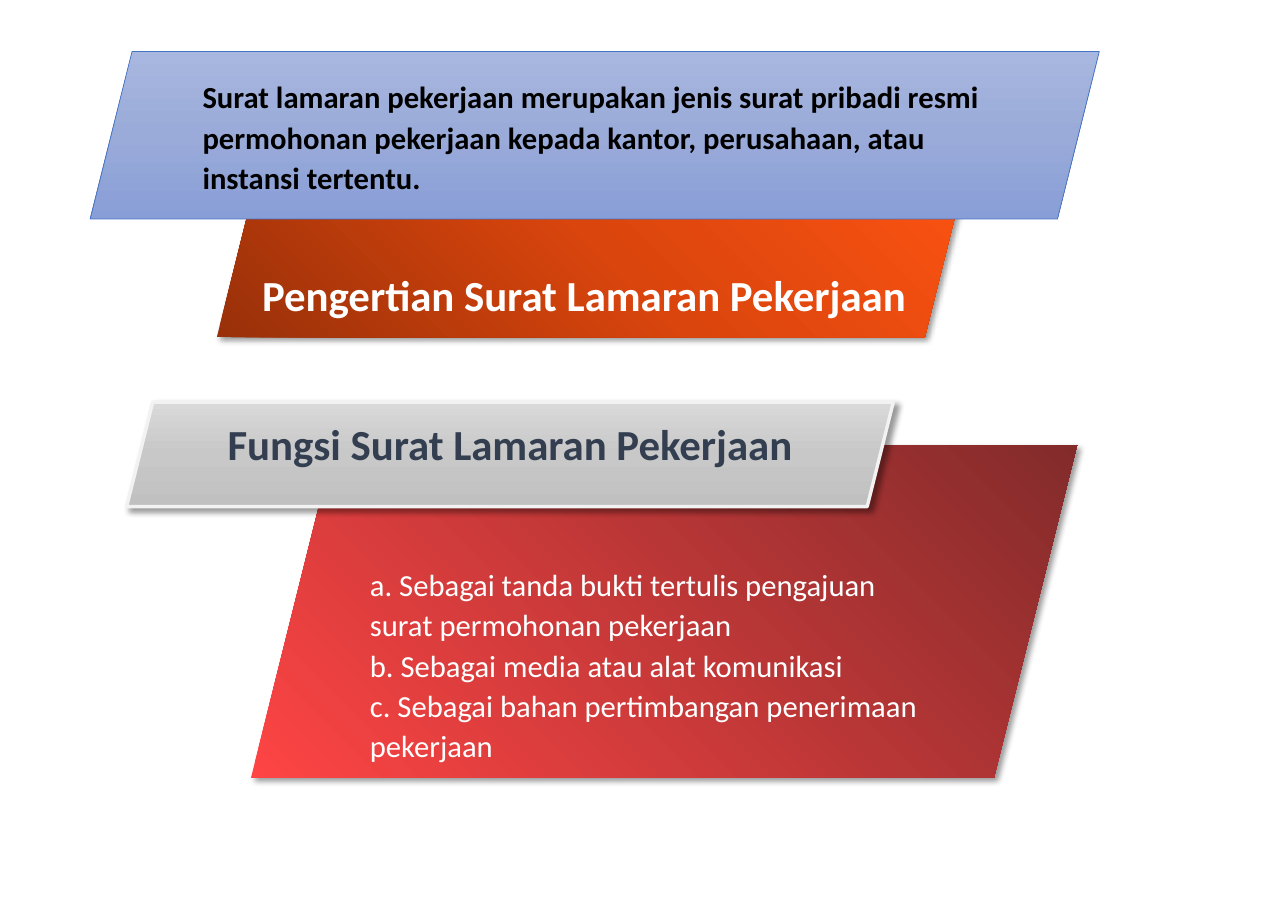
import dataclasses

import pptx
import pptx.dml.color
import pptx.enum.shapes
import pptx.enum.text
import pptx.oxml
import pptx.oxml.ns
import pptx.util

Cm = pptx.util.Cm
Pt = pptx.util.Pt
qn = pptx.oxml.ns.qn
rgb = pptx.dml.color.RGBColor.from_string
Anchor = pptx.enum.text.MSO_ANCHOR
Align = pptx.enum.text.PP_ALIGN
A_NS = pptx.oxml.ns.nsdecls("a")


@dataclasses.dataclass(frozen=True)
class Theme:
    font: str = "Calibri"
    heading_size: int = 28
    body_size: int = 20
    body_spacing: float = 1.1
    black: str = "000000"
    white: str = "FFFFFF"
    slate: str = "333F50"
    blue_line: str = "4472C4"
    pale_line: str = "F2F2F2"
    orange: tuple = ("993009", "DA450D", "FF5413")
    blue: tuple = ("A8B7DF", "9AABD9", "889ED7")
    red: tuple = ("FE4444", "832B2B")
    grey: tuple = ("D9D9D9", "C8C8C8", "C0C0C0")
    rising: int = 45
    downward: int = 270


def write_text(frame, *paragraphs, font, size, color, bold=False,
               align=Align.LEFT, anchor=Anchor.TOP, spacing=1.0):
    frame.word_wrap = True
    frame.auto_size = pptx.enum.text.MSO_AUTO_SIZE.NONE
    frame.vertical_anchor = anchor
    for index, content in enumerate(paragraphs):
        paragraph = frame.add_paragraph() if index else frame.paragraphs[0]
        paragraph.alignment = align
        paragraph.line_spacing = spacing
        run = paragraph.add_run()
        run.text = content
        run.font.name = font
        run.font.size = Pt(size)
        run.font.bold = bold
        run.font.color.rgb = rgb(color)


class SlideBuilder:
    def __init__(self, slide, theme):
        self.slide = slide
        self.theme = theme

    def banner(self, box, colors, angle, line=None, line_width=1, shadow=True):
        """Add a slanted banner with evenly spaced gradient stops."""
        banner = self.slide.shapes.add_shape(
            pptx.enum.shapes.MSO_SHAPE.PARALLELOGRAM, *map(Cm, box))
        banner.fill.gradient()
        banner.fill.gradient_angle = angle
        properties = banner._element.spPr
        stops = properties.find(qn("a:gradFill")).find(qn("a:gsLst"))
        for stop in list(stops):
            stops.remove(stop)
        for index, color in enumerate(colors):
            position = 100000 * index // (len(colors) - 1)
            stops.append(pptx.oxml.parse_xml(
                f'<a:gs {A_NS} pos="{position}"><a:srgbClr val="{color}"/></a:gs>'))
        if line:
            banner.line.color.rgb = rgb(line)
            banner.line.width = Pt(line_width)
        else:
            banner.line.fill.background()
        banner.shadow.inherit = False
        if shadow:
            properties.find(qn("a:effectLst")).append(pptx.oxml.parse_xml(
                f'<a:outerShdw {A_NS} blurRad="{Pt(4)}" dist="{Pt(3)}" dir="2700000" '
                f'algn="tl" rotWithShape="0"><a:srgbClr val="{self.theme.black}">'
                '<a:alpha val="40000"/></a:srgbClr></a:outerShdw>'))
        return banner

    def heading(self, frame, content, color, **layout):
        write_text(frame, content, font=self.theme.font, color=color,
                   size=self.theme.heading_size, bold=True, **layout)

    def body(self, frame, *paragraphs, color, **layout):
        write_text(frame, *paragraphs, font=self.theme.font, color=color,
                   size=self.theme.body_size, spacing=self.theme.body_spacing,
                   **layout)

    def title(self, box, content, color):
        title = self.slide.shapes.title
        title.left, title.top, title.width, title.height = map(Cm, box)
        self.heading(title.text_frame, content, color)
        # Bring the title in front of its banner
        self.slide.shapes._spTree.append(title._element)

    def text_box(self, box, *paragraphs, color):
        text_box = self.slide.shapes.add_textbox(*map(Cm, box))
        self.body(text_box.text_frame, *paragraphs, color=color)


def main():
    theme = Theme()
    presentation = pptx.Presentation()
    presentation.slide_width, presentation.slide_height = Cm(29.7), Cm(21)
    slide = presentation.slides.add_slide(presentation.slide_layouts[5])
    builder = SlideBuilder(slide, theme)

    # Definition: title banner tucked under the explanation
    builder.banner((5, 3.28, 17.45, 4.5), theme.orange, theme.rising)
    definition = builder.banner((2.08, 1.19, 23.27, 3.86), theme.blue, theme.downward,
                                line=theme.blue_line, line_width=0.5, shadow=False)
    builder.body(
        definition.text_frame,
        "Surat lamaran pekerjaan merupakan jenis surat pribadi resmi permohonan "
        "pekerjaan kepada kantor, perusahaan, atau instansi tertentu.",
        color=theme.black, bold=True, anchor=Anchor.MIDDLE)
    builder.title((5.79, 6.07, 15.49, 1.45),
                  "Pengertian Surat Lamaran Pekerjaan", theme.white)

    # Functions: heading banner over the list
    builder.banner((5.79, 10.26, 19.05, 7.67), theme.red, theme.rising)
    functions = builder.banner((2.92, 9.27, 17.68, 2.41), theme.grey, theme.downward,
                               line=theme.pale_line, line_width=2.25)
    builder.heading(functions.text_frame, "Fungsi Surat Lamaran Pekerjaan",
                    theme.slate, align=Align.CENTER)
    builder.text_box(
        (8.28, 12.83, 13.41, 4.95),
        "a. Sebagai tanda bukti tertulis pengajuan surat permohonan pekerjaan",
        "b. Sebagai media atau alat komunikasi",
        "c. Sebagai bahan pertimbangan penerimaan pekerjaan",
        color=theme.white)

    presentation.save("out.pptx")


if __name__ == "__main__":
    main()
